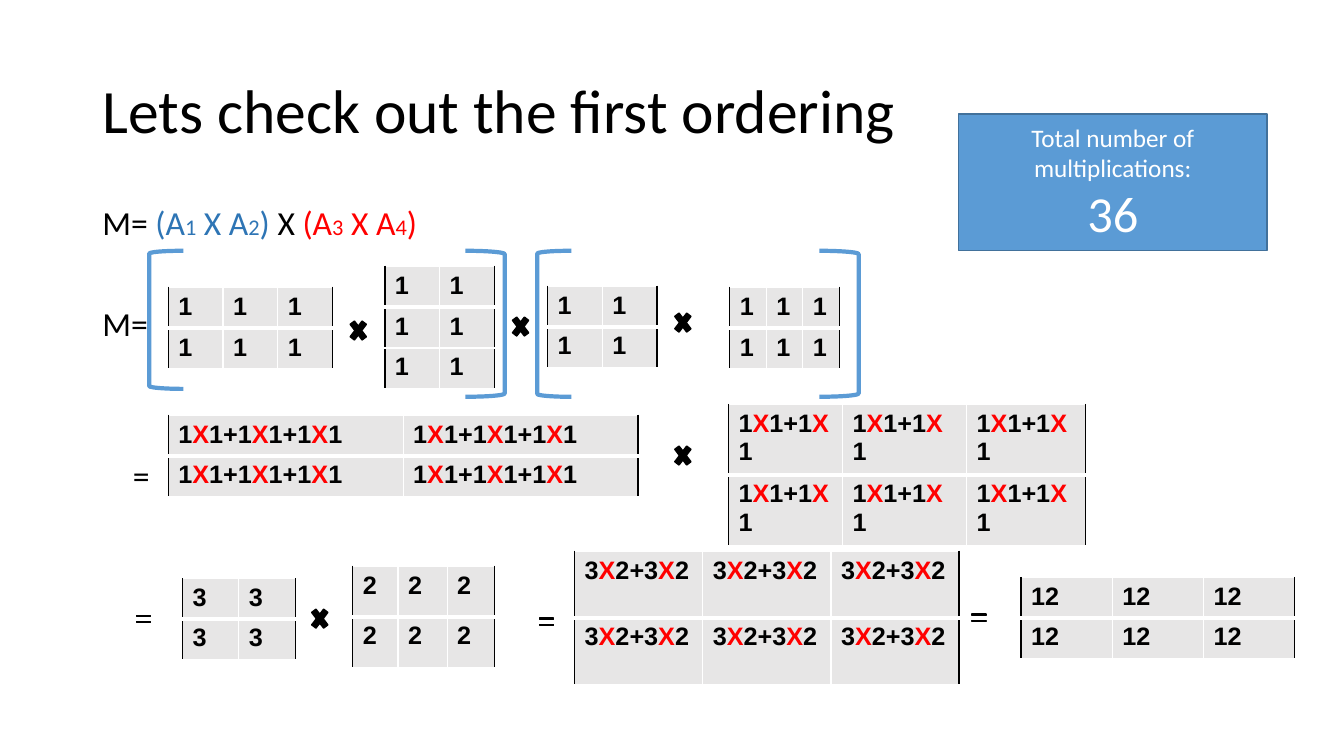
from dataclasses import dataclass
from itertools import groupby

from lxml.etree import SubElement
from pptx import Presentation
from pptx.dml.color import RGBColor
from pptx.enum.shapes import MSO_SHAPE
from pptx.enum.text import MSO_ANCHOR, MSO_AUTO_SIZE, PP_ALIGN
from pptx.oxml.ns import qn
from pptx.util import Cm, Pt


@dataclass(frozen=True)
class Theme:
    black: str = "000000"
    white: str = "FFFFFF"
    red: str = "FF0000"
    blue: str = "5B9BD5"
    dark_blue: str = "2E75B5"
    outline: str = "42719B"
    cell: str = "E7E6E6"
    text_font: str = "Calibri"
    matrix_font: str = "Arial"
    title: int = 44
    total: int = 36
    formula: int = 24
    label: int = 18
    index: int = 16


THEME = Theme()


def color(value):
    return RGBColor.from_string(value)


def add_run(paragraph, text, size, value, font=THEME.text_font, bold=False):
    run = paragraph.add_run()
    run.text = text
    run.font.name = font
    run.font.size = Pt(size)
    run.font.bold = bold
    run.font.color.rgb = color(value)


def add_title(slide, text):
    title = slide.shapes.title
    title.left, title.top, title.width, title.height = Cm(2.33), Cm(1.02), Cm(29.21), Cm(3.68)
    frame = title.text_frame
    frame.auto_size = MSO_AUTO_SIZE.NONE
    frame.vertical_anchor = MSO_ANCHOR.MIDDLE
    paragraph = frame.paragraphs[0]
    paragraph.alignment = PP_ALIGN.LEFT
    paragraph.line_spacing = 0.9
    add_run(paragraph, text, THEME.title, THEME.black)


def add_formula(slide, left, top, width, pieces):
    """Each piece is its text, size and colour."""
    frame = slide.shapes.add_textbox(Cm(left), Cm(top), Cm(width), Cm(1.2)).text_frame
    frame.word_wrap = True
    paragraph = frame.paragraphs[0]
    paragraph.line_spacing = 0.9
    for text, size, value in pieces:
        add_run(paragraph, text, size, value)


def product_pieces(first, second, value):
    """A bracketed product of two indexed matrices."""
    return [("(A", THEME.formula, value), (first, THEME.index, value),
            (" X A", THEME.formula, value), (second, THEME.index, value),
            (")", THEME.formula, value)]


def add_border(cell, side, value, width=1):
    line = SubElement(cell._tc.get_or_add_tcPr(), qn(f"a:ln{side}"), w=str(Pt(width)))
    fill = SubElement(line, qn("a:solidFill"))
    SubElement(fill, qn("a:srgbClr"), val=value)


def add_matrix(slide, left, top, columns, row_height, entry, rows=2):
    """A matrix whose cells all hold the same entry, with each X in red."""
    table = slide.shapes.add_table(rows, len(columns), Cm(left), Cm(top),
                                   Cm(sum(columns)), Cm(row_height * rows)).table
    table.first_row = False
    table.horz_banding = False
    for column, width in zip(table.columns, columns):
        column.width = Cm(width)
    last = len(columns) - 1
    for row_index, row in enumerate(table.rows):
        row.height = Cm(row_height)
        for column_index, cell in enumerate(row.cells):
            add_border(cell, "L", THEME.black if column_index == 0 else THEME.white)
            add_border(cell, "R", THEME.black if column_index == last else THEME.white)
            add_border(cell, "T", THEME.white)
            add_border(cell, "B", THEME.white, 3 if row_index == 0 else 1)
            cell.fill.solid()
            cell.fill.fore_color.rgb = color(THEME.cell)
            paragraph = cell.text_frame.paragraphs[0]
            for is_times, letters in groupby(entry, lambda letter: letter == "X"):
                add_run(paragraph, "".join(letters), THEME.label,
                        THEME.red if is_times else THEME.black, THEME.matrix_font, True)


def add_preset(slide, preset, left, top, width, height, fill, line, line_width=1, adjustments=()):
    shape = slide.shapes.add_shape(preset, Cm(left), Cm(top), Cm(width), Cm(height))
    shape.shadow.inherit = False
    for index, adjustment in enumerate(adjustments):
        shape.adjustments[index] = adjustment
    if fill is None:
        shape.fill.background()
    else:
        shape.fill.solid()
        shape.fill.fore_color.rgb = color(fill)
    shape.line.color.rgb = color(line)
    shape.line.width = Pt(line_width)
    return shape


def add_times(slide, left, top):
    add_preset(slide, MSO_SHAPE.MATH_MULTIPLY, left, top, 0.58, 0.76,
               THEME.black, THEME.black, adjustments=(0.235,))


def add_equals(slide, left, top):
    add_preset(slide, MSO_SHAPE.MATH_EQUAL, left, top, 0.48, 1.02,
               THEME.black, THEME.black, adjustments=(0.034, 0.118))


def add_bracket(slide, preset, left, width, height=3.68):
    add_preset(slide, preset, left, 6.32, width, height, None, THEME.blue, 3, (0.083,))


def add_total(slide, label, total):
    card = add_preset(slide, MSO_SHAPE.RECTANGLE, 24.16, 2.87, 7.77, 3.45,
                      THEME.blue, THEME.outline)
    frame = card.text_frame
    frame.word_wrap = True
    frame.vertical_anchor = MSO_ANCHOR.MIDDLE
    for paragraph, text, size in ((frame.paragraphs[0], label, THEME.label),
                                  (frame.add_paragraph(), total, THEME.total)):
        paragraph.alignment = PP_ALIGN.CENTER
        add_run(paragraph, text, size, THEME.white)


def main():
    presentation = Presentation()
    presentation.slide_width, presentation.slide_height = Cm(33.87), Cm(19.05)
    slide = presentation.slides.add_slide(presentation.slide_layouts[5])
    add_title(slide, "Lets check out the first ordering")

    # Formula and row labels
    add_formula(slide, 2.33, 5.08, 14,
                [("M= ", THEME.formula, THEME.black)]
                + product_pieces("1", "2", THEME.dark_blue)
                + [(" X ", THEME.formula, THEME.black)]
                + product_pieces("3", "4", THEME.red))
    add_formula(slide, 2.33, 7.62, 2, [("M=", THEME.formula, THEME.black)])
    add_formula(slide, 3.1, 11.46, 1.2, [("=", THEME.formula, THEME.black)])

    # The four factors
    add_matrix(slide, 4.24, 7.24, [1.38] * 3, 1.03, "1")
    add_matrix(slide, 9.7, 6.71, [1.38] * 2, 1.03, "1", rows=3)
    add_matrix(slide, 13.8, 7.21, [1.38] * 2, 1.03, "1")
    add_matrix(slide, 18.39, 7.24, [0.92] * 3, 1.03, "1")

    # Brackets around the two pairs
    add_bracket(slide, MSO_SHAPE.LEFT_BRACKET, 3.76, 0.86, 3.48)
    add_bracket(slide, MSO_SHAPE.LEFT_BRACKET, 13.54, 0.86)
    for left in (11.73, 20.65):
        add_bracket(slide, MSO_SHAPE.RIGHT_BRACKET, left, 0.99)

    # Products written out
    add_matrix(slide, 4.24, 10.46, [5.92] * 2, 1.03, "1X1+1X1+1X1")
    add_matrix(slide, 18.36, 10.19, [2.87, 3.13, 3], 1.68, "1X1+1X1")

    # Final product and result
    add_matrix(slide, 4.6, 14.58, [1.42] * 2, 0.97, "3")
    add_matrix(slide, 8.89, 14.27, [1.14, 1.24, 1.19], 1.27, "2")
    add_matrix(slide, 14.48, 13.89, [3.23] * 3, 1.68, "3X2+3X2")
    add_matrix(slide, 25.73, 14.55, [2.3] * 3, 0.97, "12")

    # Operators
    for left, top in ((8.74, 7.95), (12.83, 7.85), (16.92, 7.75), (16.92, 11.1), (7.77, 15.21)):
        add_times(slide, left, top)
    for left, top in ((3.38, 15.09), (13.54, 15.16), (24.43, 15.06)):
        add_equals(slide, left, top)

    add_total(slide, "Total number of multiplications:", "36")
    presentation.save("out.pptx")


if __name__ == "__main__":
    main()
